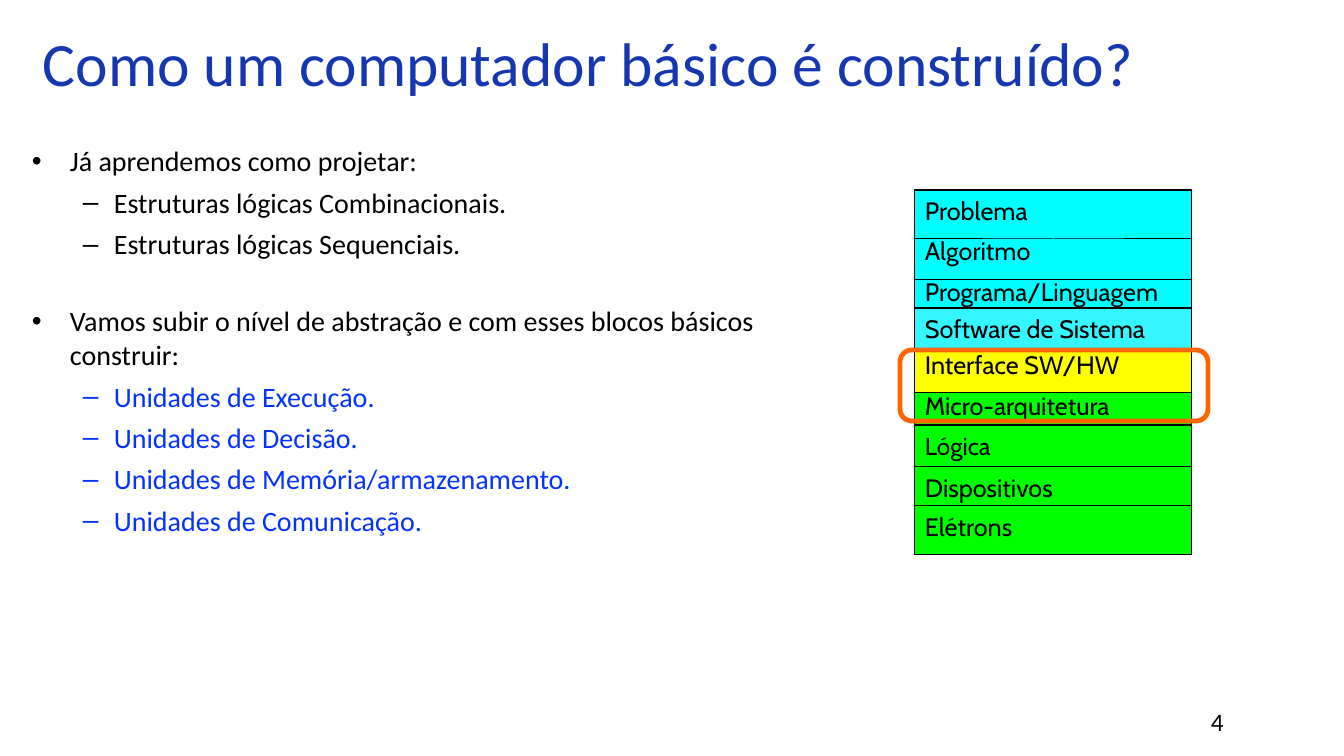
from lxml import etree
from pptx import Presentation
from pptx.dml.color import RGBColor
from pptx.enum.shapes import MSO_SHAPE
from pptx.enum.text import MSO_ANCHOR, PP_ALIGN
from pptx.oxml.ns import qn
from pptx.util import Pt

RECTANGLE = MSO_SHAPE.RECTANGLE
ROUNDED = MSO_SHAPE.ROUNDED_RECTANGLE
TOP, MIDDLE = MSO_ANCHOR.TOP, MSO_ANCHOR.MIDDLE
LEFT = PP_ALIGN.LEFT

EMU_PER_PX = 914400 / 100.8
COLORS = {
    "title": "1737B1",
    "text": "000000",
    "units": "0432FF",
    "cyan": "00FFFF",
    "sky": "35F6FF",
    "yellow": "FFFF00",
    "green": "00FF00",
    "highlight": "FF6600",
}

TOPICS = [
    ("Já aprendemos como projetar:", 0, "text", 0),
    ("Estruturas lógicas Combinacionais.", 1, "text", 5.6),
    ("Estruturas lógicas Sequenciais.", 1, "text", 5.6),
    ("Vamos subir o nível de abstração e com esses blocos básicos construir:",
     0, "text", 31),
    ("Unidades de Execução.", 1, "units", 5.6),
    ("Unidades de Decisão.", 1, "units", 5.6),
    ("Unidades de Memória/armazenamento.", 1, "units", 5.6),
    ("Unidades de Comunicação.", 1, "units", 5.6),
]
BULLETS = [("•", 38, 38), ("–", 82, 31)]

LAYERS = [
    ("Micro-arquitetura", 195, 40, "green", 18),
    ("Interface SW/HW", 154, 49, "yellow", 18),
    ("Programa/Linguagem", 81, 50, "cyan", 18),
    ("Algoritmo", 40, 50, "cyan", 18),
    ("Problema", 0, 49, "cyan", 18),
    ("Lógica", 236, 67, "green", 17.5),
    ("Dispositivos", 277, 50, "green", 18),
    ("Software de Sistema", 118, 44, "sky", 18),
    ("Elétrons", 316, 49, "green", 18),
]


def px(length):
    return round(length * EMU_PER_PX)


def color(name):
    return RGBColor.from_string(COLORS[name])


def add_run(paragraph, text, size, font, color_name):
    paragraph.alignment = LEFT
    run = paragraph.add_run()
    run.text = text
    run.font.size = Pt(size)
    run.font.name = font
    run.font.color.rgb = color(color_name)


def add_frame(slide, box, anchor=TOP):
    frame = slide.shapes.add_textbox(*map(px, box)).text_frame
    frame.word_wrap = True
    frame.vertical_anchor = anchor
    return frame


def add_line(slide, text, box, size, color_name, anchor=TOP):
    frame = add_frame(slide, box, anchor)
    add_run(frame.paragraphs[0], text, size, "Calibri", color_name)


def set_bullet(paragraph, level, color_name):
    mark, margin, hanging = BULLETS[level]
    properties = paragraph._p.get_or_add_pPr()
    properties.set("marL", str(px(margin)))
    properties.set("indent", str(-px(hanging)))
    bullet_color = etree.SubElement(properties, qn("a:buClr"))
    etree.SubElement(bullet_color, qn("a:srgbClr"), val=COLORS[color_name])
    etree.SubElement(properties, qn("a:buFont"), typeface="Arial")
    etree.SubElement(properties, qn("a:buChar"), char=mark)


def add_topics(slide, box):
    frame = add_frame(slide, box)
    for index, (text, level, color_name, space) in enumerate(TOPICS):
        topic = frame.add_paragraph() if index else frame.paragraphs[0]
        topic.level = level
        set_bullet(topic, level, color_name)
        topic.space_before = Pt(space)
        add_run(topic, text, 20, "Calibri", color_name)


def add_layer(slide, box, text, fill, size):
    layer = slide.shapes.add_shape(RECTANGLE, *map(px, box))
    layer.shadow.inherit = False
    layer.fill.solid()
    layer.fill.fore_color.rgb = color(fill)
    layer.line.color.rgb = color("text")
    layer.line.width = Pt(0.75)
    frame = layer.text_frame
    frame.word_wrap = True
    frame.vertical_anchor = TOP
    add_run(frame.paragraphs[0], text, size, "Cabin", "text")


def add_highlight(slide, box):
    highlight = slide.shapes.add_shape(ROUNDED, *map(px, box))
    highlight.shadow.inherit = False
    highlight.adjustments[0] = 0.167
    highlight.fill.background()
    highlight.line.color.rgb = color("highlight")
    highlight.line.width = Pt(3.5)


def add_abstraction_stack(slide, box):
    left, top, width, _ = box
    for text, offset, height, fill, size in LAYERS:
        add_layer(slide, (left, top + offset, width, height), text, fill, size)
    add_highlight(slide, (left - 15, top + 160, width + 31, 71))


def main():
    deck = Presentation()
    deck.slide_width, deck.slide_height = px(1344), px(756)
    slide = deck.slides.add_slide(deck.slide_layouts[6])
    add_line(slide, "Como um computador básico é construído?",
             (33, 17, 1266, 90), 44, "title", MIDDLE)
    add_topics(slide, (22, 139, 851, 613))
    add_line(slide, "4", (1201, 701, 76, 40), 18, "text")
    add_abstraction_stack(slide, (915, 190, 277, 365))
    deck.save("out.pptx")


if __name__ == "__main__":
    main()
